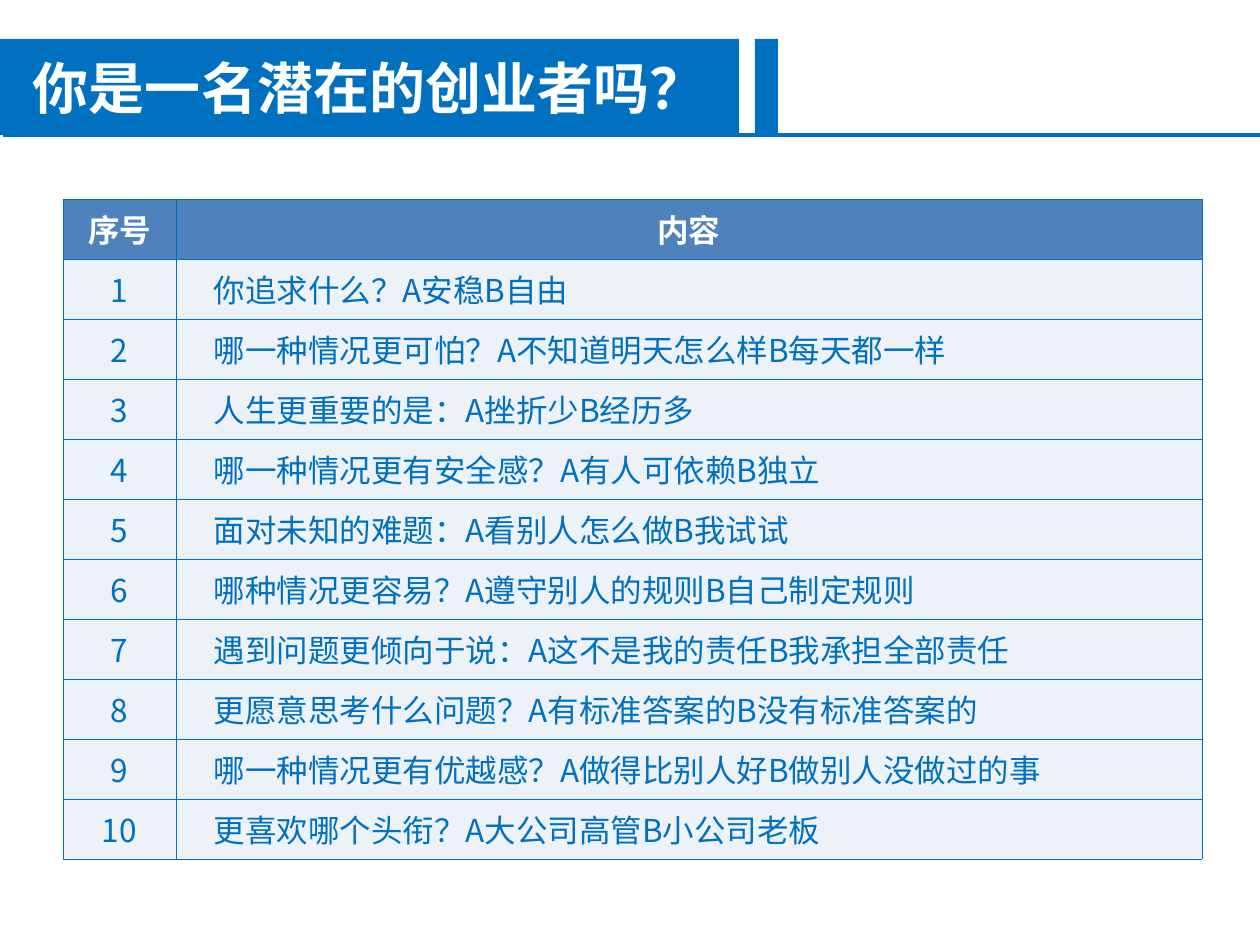
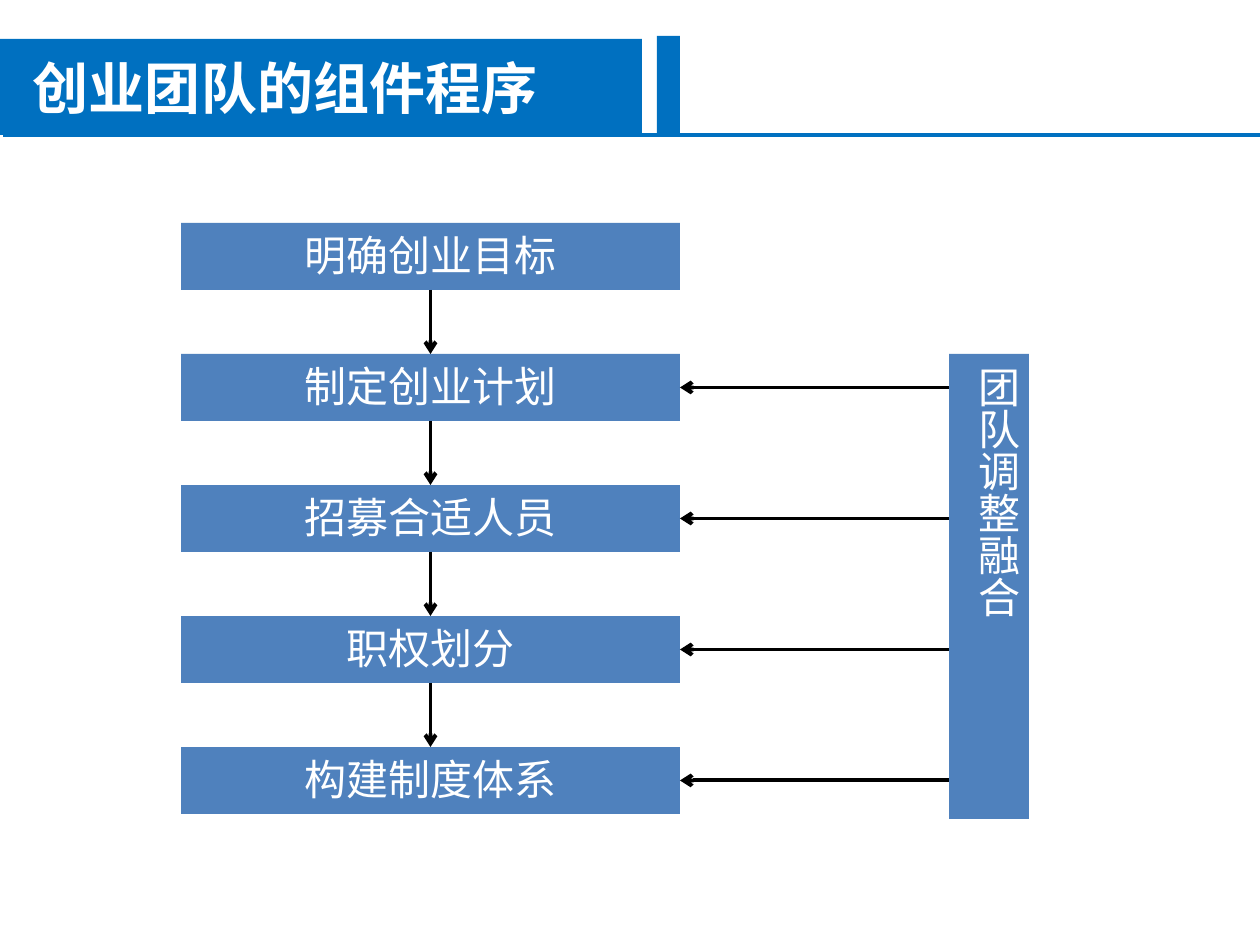
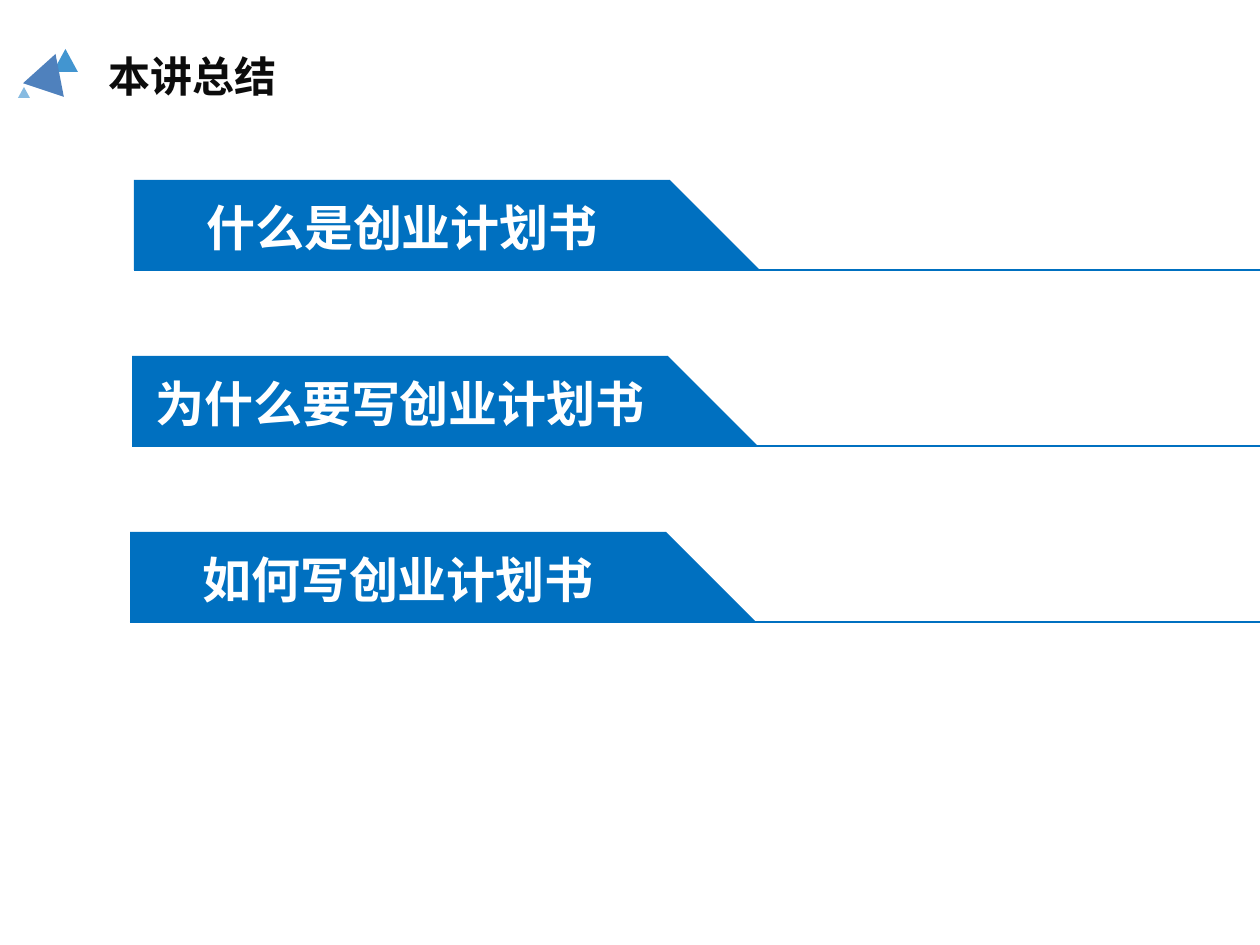
from lxml import etree
from pptx import Presentation
from pptx.dml.color import RGBColor
from pptx.enum.shapes import MSO_CONNECTOR as Connector, MSO_SHAPE as Shape
from pptx.enum.text import MSO_ANCHOR as Anchor, MSO_AUTO_SIZE as AutoSize, PP_ALIGN as Align
from pptx.oxml.ns import qn
from pptx.util import Emu, Pt

PX = 914400 / 126
SLIDE_W, SLIDE_H = 1260, 945
TITLE_ONLY = 5
CJK_FONT = "Noto Sans CJK SC"
COLORS = {
    "blue": "0070C0",
    "steel": "4F81BD",
    "white": "FFFFFF",
    "ink": "0C0C0C",
    "black": "000000",
}

QUESTIONS = [
    "你追求什么？A安稳B自由",
    "哪一种情况更可怕？A不知道明天怎么样B每天都一样",
    "人生更重要的是：A挫折少B经历多",
    "哪一种情况更有安全感？A有人可依赖B独立",
    "面对未知的难题：A看别人怎么做B我试试",
    "哪种情况更容易？A遵守别人的规则B自己制定规则",
    "遇到问题更倾向于说：A这不是我的责任B我承担全部责任",
    "更愿意思考什么问题？A有标准答案的B没有标准答案的",
    "哪一种情况更有优越感？A做得比别人好B做别人没做过的事",
    "更喜欢哪个头衔？A大公司高管B小公司老板",
]
STEPS = ["明确创业目标", "制定创业计划", "招募合适人员", "职权划分", "构建制度体系"]
TOPICS = ["什么是创业计划书", "为什么要写创业计划书", "如何写创业计划书"]


def px(length):
    return Emu(round(length * PX))


def rgb(color):
    return RGBColor.from_string(COLORS[color])


def paint(fill, color, alpha=100):
    """Fill solidly; alpha is the opacity in percent."""
    fill.solid()
    fill.fore_color.rgb = rgb(color)
    if alpha < 100:
        tone = fill._xPr.find(qn("a:solidFill"))[0]
        etree.SubElement(tone, qn("a:alpha"), val=str(alpha * 1000))


def write(frame, text, size, color="white", bold=False, align=Align.CENTER, font=CJK_FONT):
    frame.word_wrap = True
    para = frame.paragraphs[0]
    para.alignment = align
    span = para.add_run()
    span.text = text
    span.font.size = Pt(size)
    span.font.bold = bold
    span.font.color.rgb = rgb(color)
    span.font.name = font
    etree.SubElement(span._r.get_or_add_rPr(), qn("a:ea"), typeface=CJK_FONT)
    return para


def add_block(page, kind, left, top, width, height, color="blue", alpha=100):
    block = page.shapes.add_shape(kind, px(left), px(top), px(width), px(height))
    block.shadow.inherit = False
    block.line.fill.background()
    paint(block.fill, color, alpha)
    block.text_frame.vertical_anchor = Anchor.TOP
    return block


def add_line(page, start, end, color, weight, arrow=False):
    line = page.shapes.add_connector(
        Connector.STRAIGHT, px(start[0]), px(start[1]), px(end[0]), px(end[1]))
    line.line.color.rgb = rgb(color)
    line.line.width = Pt(weight)
    if arrow:
        etree.SubElement(line.line._get_or_add_ln(), qn("a:tailEnd"), type="arrow")
    etree.SubElement(line._element.spPr, qn("a:effectLst"))
    return line


def place_title(page, left, top, width, height, anchor):
    title = page.shapes.title
    title.left, title.top, title.width, title.height = map(px, (left, top, width, height))
    title.text_frame.auto_size = AutoSize.NONE
    title.text_frame.vertical_anchor = anchor
    return title


def add_title_band(page, text, right, accent_left, accent_top):
    left, top, bottom = -5, 39, 135
    title = place_title(page, left, top, right - left, bottom - top, Anchor.MIDDLE)
    paint(title.fill, "blue")
    title.text_frame.margin_left = px(38)
    write(title.text_frame, text, 32, bold=True, align=Align.LEFT, font="Arial")
    add_block(page, Shape.RECTANGLE, accent_left, accent_top, 23, bottom - accent_top)
    add_line(page, (3, bottom), (SLIDE_W, bottom), "blue", 2)


def frame_cell(cell):
    """Draw hairlines on all four sides of the cell."""
    props = cell._tc.get_or_add_tcPr()
    for place, side in enumerate(("lnL", "lnR", "lnT", "lnB")):
        border = etree.Element(qn(f"a:{side}"), w=str(Pt(0.11)))
        fill = etree.SubElement(border, qn("a:solidFill"))
        etree.SubElement(fill, qn("a:srgbClr"), val=COLORS["blue"])
        props.insert(place, border)


def add_question_table(page, left, top, widths, row_height):
    rows = [("序号", "内容")] + [(str(n), text) for n, text in enumerate(QUESTIONS, 1)]
    table = page.shapes.add_table(
        len(rows), len(widths), px(left), px(top),
        px(sum(widths)), px(row_height * len(rows))).table
    table.first_row = table.horz_banding = False
    for column, width in zip(table.columns, widths):
        column.width = px(width)
    for r, texts in enumerate(rows):
        table.rows[r].height = px(row_height)
        header = r == 0
        for c, text in enumerate(texts):
            cell = table.cell(r, c)
            cell.vertical_anchor = Anchor.MIDDLE
            paint(cell.fill, "steel", 100 if header else 10)
            frame_cell(cell)
            question = c == 1 and not header
            para = write(cell.text_frame, text, 18, "white" if header else "blue",
                         bold=header, align=Align.LEFT if question else Align.CENTER)
            if question:
                para._p.get_or_add_pPr().set("marL", str(px(25)))


def add_step_flow(page, left, top, width, height, pitch):
    """Stack the steps with arrows between them and return their boxes."""
    boxes = []
    middle = left + width / 2
    for n, text in enumerate(STEPS):
        y = top + n * pitch
        box = add_block(page, Shape.RECTANGLE, left, y, width, height, "steel")
        write(box.text_frame, text, 24)
        if boxes:
            arrow = add_line(page, (middle, y - pitch + height), (middle, y),
                             "black", 2.25, arrow=True)
            arrow.begin_connect(boxes[-1], 2)
            arrow.end_connect(box, 0)
        boxes.append(box)
    return boxes


def add_team_column(page, left, top, width, height, steps):
    """Add the upright box with an arrow to the right side of each step."""
    column = add_block(page, Shape.RECTANGLE, left, top, width, height, "steel")
    frame = column.text_frame
    frame.margin_left = frame.margin_right = px(6)
    frame.margin_top = frame.margin_bottom = px(13)
    frame._txBody.bodyPr.set("vert", "eaVert")
    write(frame, "团队调整融合", 24)
    for step in steps:
        y = (step.top + step.height / 2) / PX
        arrow = add_line(page, (left, y), ((step.left + step.width) / PX, y),
                         "black", 2.25, arrow=True)
        arrow.end_connect(step, 3)


def add_triangle_mark(page, left, top):
    add_block(page, Shape.ISOSCELES_TRIANGLE, left + 35, top, 25, 23, alpha=74)
    large = add_block(page, Shape.ISOSCELES_TRIANGLE, left + 10, top + 4, 43, 38, "steel")
    large.rotation = 18.5
    add_block(page, Shape.ISOSCELES_TRIANGLE, left, top + 38, 12, 11, alpha=47)


def add_topic_banner(page, text, left, top, width, height):
    bar = add_block(page, Shape.RECTANGLE, left, top, width, height)
    write(bar.text_frame, text, 28, bold=True).line_spacing = 1.2
    add_block(page, Shape.RIGHT_TRIANGLE, left + width, top, height, height)
    add_line(page, (left, top + height), (SLIDE_W, top + height), "blue", 1)


def build_quiz(page):
    add_title_band(page, "你是一名潜在的创业者吗？", 739, 755, 39)
    add_question_table(page, 63, 199, (113, 1026), 60)


def build_process(page):
    add_title_band(page, "创业团队的组件程序", 642, 657, 36)
    steps = add_step_flow(page, 181, 223, 499, 67, 131)
    add_team_column(page, 949, 354, 80, 465, steps[1:])


def build_summary(page):
    title = place_title(page, 96, 44, 544, 63, Anchor.TOP)
    write(title.text_frame, "本讲总结", 24, "ink", bold=True, align=Align.LEFT)
    add_triangle_mark(page, 18, 49)
    for n, text in enumerate(TOPICS):
        add_topic_banner(page, text, 134 - 2 * n, 180 + 176 * n, 536, 90)


def main():
    deck = Presentation()
    deck.slide_width, deck.slide_height = px(SLIDE_W), px(SLIDE_H)
    for build in (build_quiz, build_process, build_summary):
        build(deck.slides.add_slide(deck.slide_layouts[TITLE_ONLY]))
    deck.save("out.pptx")


if __name__ == "__main__":
    main()
